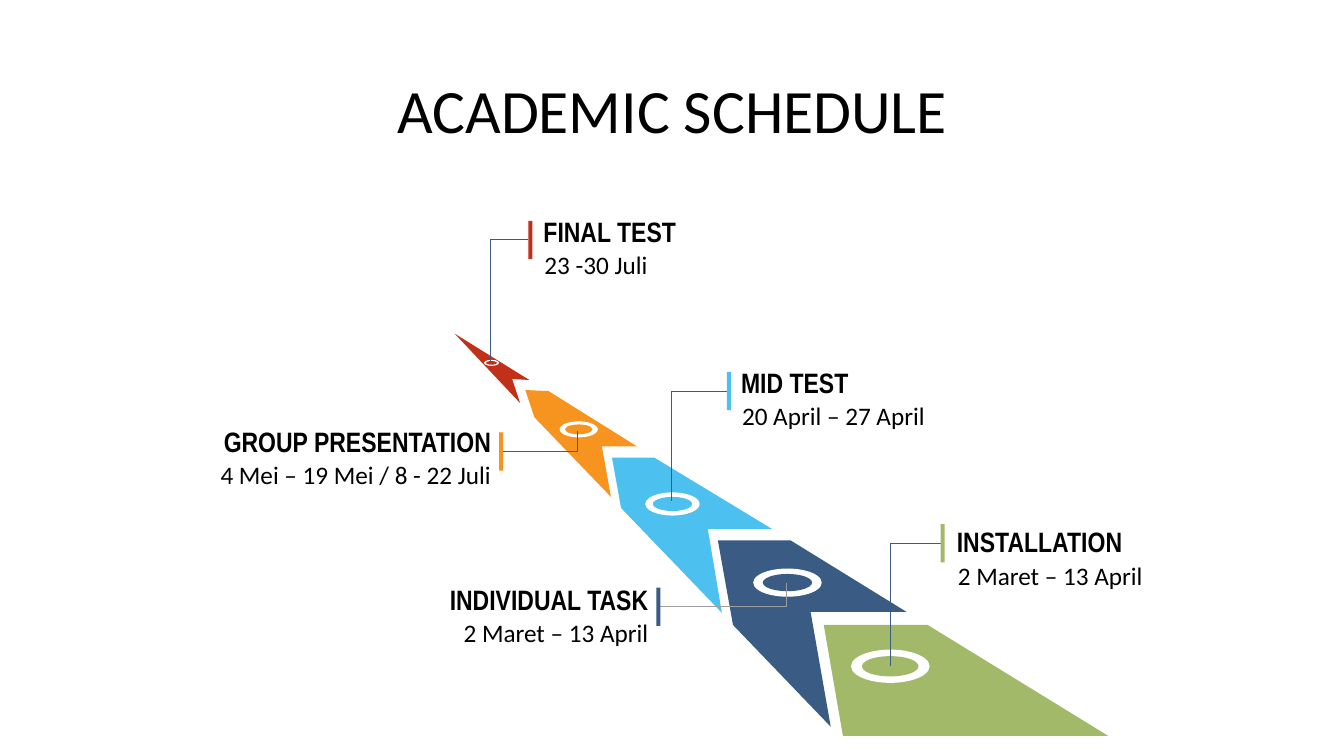
from lxml.etree import SubElement
from pptx import Presentation
from pptx.dml.color import RGBColor
from pptx.enum.shapes import MSO_CONNECTOR as Link, MSO_SHAPE as Kind
from pptx.enum.text import MSO_ANCHOR as Anchor, MSO_AUTO_SIZE as Fit, PP_ALIGN as Align
from pptx.oxml.ns import qn
from pptx.util import Inches, Pt

CELL = Inches(0.01)
COLS, ROWS = 1333, 750
HUES = {
    "green": "A2B969", "navy": "3A5C84", "sky": "4CC1EF", "orange": "F7931F",
    "red": "C13018", "gray": "9E9E9E", "white": "FFFFFF", "black": "000000",
}
STEPS = [
    dict(name="INSTALLATION", date="2 Maret – 13 April", hue="green", line="navy",
         edge=[(817, 620), (920, 620), (1099, 730), (889, 730), (836, 730)],
         ring=(883, 661, 78, 33), stem=(883, 661), bar=(933, 520), text=(949, 515), right=True),
    dict(name="INDIVIDUAL TASK", date="2 Maret – 13 April", hue="navy", line="gray",
         edge=[(804, 607), (899, 607), (784, 536), (712, 536), (727, 620), (824, 721)],
         ring=(781, 578, 68, 28), stem=(780, 578), bar=(651, 583), text=(274, 572), right=False),
    dict(name="MID TEST", date="20 April – 27 April", hue="sky", line="navy",
         edge=[(702, 525), (766, 525), (649, 454), (607, 454), (616, 504), (716, 608)],
         ring=(667, 500, 54, 23), stem=(666, 497), bar=(721, 369), text=(735, 357), right=True),
    dict(name="GROUP PRESENTATION", date="4 Mei – 19 Mei / 8 - 22 Juli", hue="orange", line="navy",
         edge=[(597, 443), (632, 443), (544, 388), (521, 387), (530, 414), (606, 493)],
         ring=(574, 426, 38, 16), stem=(573, 428), bar=(495, 429), text=(118, 415), right=False),
    dict(name="FINAL TEST", date="23 -30 Juli", hue="red", line="navy",
         edge=[(508, 376), (525, 377), (451, 331), (516, 400)],
         ring=(487.5, 360, 15, 6), stem=(486, 358), bar=(524, 219), text=(539, 207), right=True),
]


def grid(*cells):
    return [round(n * CELL) for n in cells]


def paint(shape, hue):
    shape.shadow.inherit = False
    shape.fill.solid()
    shape.fill.fore_color.rgb = RGBColor.from_string(HUES[hue])
    shape.line.fill.background()


deck = Presentation()
deck.slide_width, deck.slide_height = grid(COLS, ROWS)
slide = deck.slides.add_slide(deck.slide_layouts[5])
shapes = slide.shapes

title = shapes.title
title.left, title.top, title.width, title.height = grid(92, 40, 1150, 145)
title.text_frame.text = "ACADEMIC SCHEDULE"
title.text_frame.vertical_anchor = Anchor.MIDDLE
head = title.text_frame.paragraphs[0]
head.alignment = Align.CENTER
head.line_spacing = 0.9
font = head.runs[0].font
font.name, font.size = "Calibri", Pt(44)
font.color.rgb = RGBColor.from_string(HUES["black"])

for step in STEPS:
    start, *rest = step["edge"]
    pen = shapes.build_freeform(*start, scale=CELL)
    pen.add_line_segments(rest, close=True)
    paint(pen.convert_to_shape(), step["hue"])

    x, y, wide, high = step["ring"]
    for w, h, hue in [(wide, high, "white"), (wide * 0.72, high * 0.61, step["hue"])]:
        oval = shapes.add_shape(Kind.OVAL, *grid(x - w / 2, y - h / 2, w, h))
        paint(oval, hue)

for step in STEPS:
    x, y = step["bar"]
    side = x if step["right"] else x + 4
    wire = shapes.add_connector(Link.ELBOW, *grid(side, y + 19, *step["stem"]))
    wire.line.width = Pt(0.5)
    wire.line.color.rgb = RGBColor.from_string(HUES[step["line"]])
    props = wire._element.spPr
    props.find(qn("a:prstGeom")).set("prst", "bentConnector2")
    SubElement(props, qn("a:effectLst"))
    paint(shapes.add_shape(Kind.RECTANGLE, *grid(x, y, 4, 38)), step["hue"])

    x, y = step["text"]
    wide = 241 if step["right"] else 369
    label = shapes.add_group_shape()
    for text, place, face, size, bold, base in [
        (step["name"], (x, y, wide, 44), "Arial Narrow", 20, True, Anchor.BOTTOM),
        (step["date"], (x + 1, y + 35.5, wide - 1, 40), "Calibri", 18, False, Anchor.TOP),
    ]:
        frame = label.shapes.add_textbox(*grid(*place)).text_frame
        frame.text = text
        frame.word_wrap = True
        frame.auto_size = Fit.SHAPE_TO_FIT_TEXT
        frame.vertical_anchor = base
        frame.margin_left = frame.margin_right = 0
        para = frame.paragraphs[0]
        plain = Align.LEFT if bold else Align.JUSTIFY
        para.alignment = plain if step["right"] else Align.RIGHT
        font = para.runs[0].font
        font.name, font.size, font.bold = face, Pt(size), bold
        font.color.rgb = RGBColor.from_string(HUES["black"])

deck.save("out.pptx")
